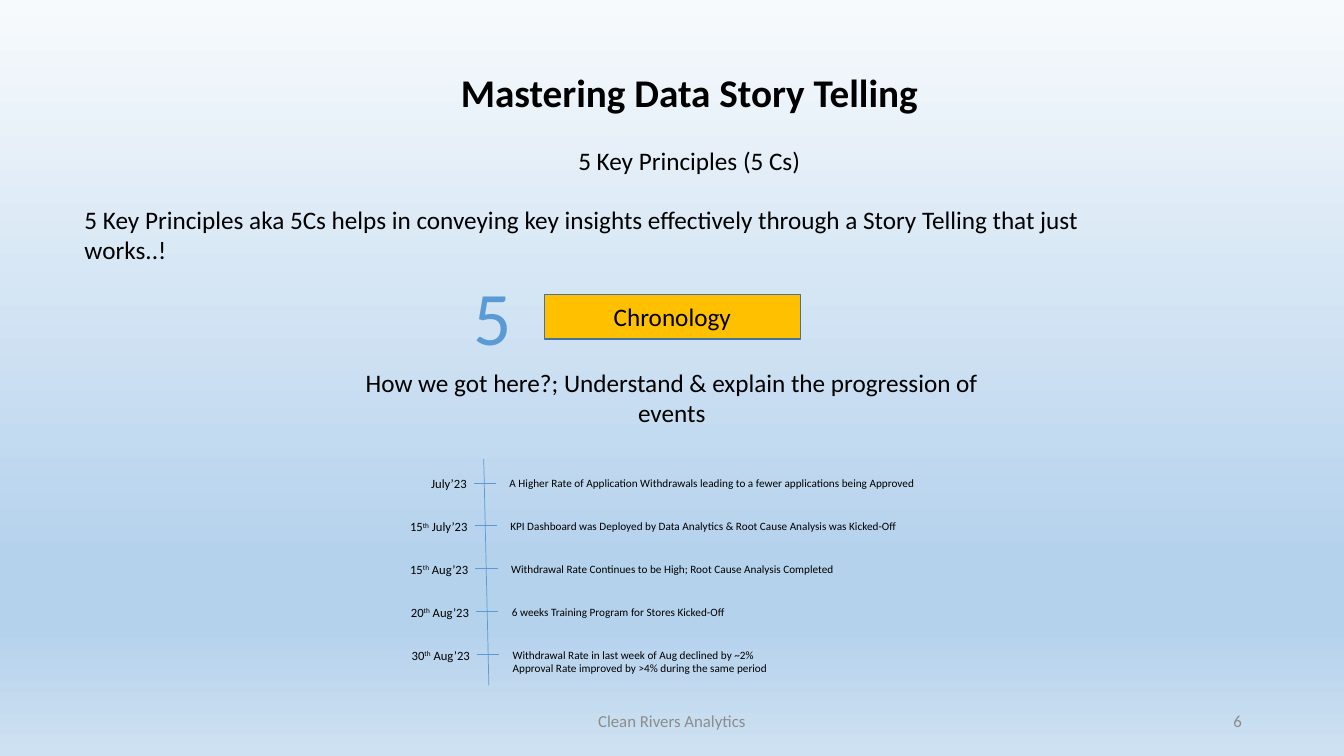
from collections import namedtuple
from dataclasses import dataclass

from lxml import etree
from pptx import Presentation
from pptx.dml.color import RGBColor
from pptx.enum import shapes, text
from pptx.oxml import ns
from pptx.util import Cm, Pt

Box = namedtuple("Box", "left top width height")


@dataclass(frozen=True)
class Theme:
    font: str = "Calibri"
    ink: str = "000000"
    muted: str = "8C8C8C"
    accent: str = "5B9BD5"
    badge: str = "FFC000"
    badge_edge: str = "43739E"
    sky: tuple = ((0, "F7FAFD"), (74, "B5D2EC"), (83, "B5D2EC"), (100, "CEE1F2"))
    title: int = 28
    body: int = 18
    numeral: int = 54
    footer: int = 12
    date: int = 9
    note: int = 8


THEME = Theme()
LEFT, CENTER, RIGHT = text.PP_ALIGN.LEFT, text.PP_ALIGN.CENTER, text.PP_ALIGN.RIGHT
MIDDLE, TOP = text.MSO_ANCHOR.MIDDLE, text.MSO_ANCHOR.TOP

# Date as day, ordinal suffix and month, then what happened
EVENTS = [
    (("", "", "July’23"),
     "A Higher Rate of Application Withdrawals leading to a fewer applications being Approved"),
    (("15", "th", " July’23"),
     "KPI Dashboard was Deployed by Data Analytics & Root Cause Analysis was Kicked-Off"),
    (("15", "th", " Aug’23"),
     "Withdrawal Rate Continues to be High; Root Cause Analysis Completed"),
    (("20", "th", " Aug’23"),
     "6 weeks Training Program for Stores Kicked-Off"),
    (("30", "th", " Aug’23"),
     "Withdrawal Rate in last week of Aug declined by ~2%\n"
     "Approval Rate improved by >4% during the same period"),
]


def place(shape, box):
    shape.left, shape.top, shape.width, shape.height = map(Cm, box)


def style(paragraph, size, color=THEME.ink, align=LEFT, bold=False):
    paragraph.alignment = align
    for run in paragraph.runs:
        run.font.name = THEME.font
        run.font.size = Pt(size)
        run.font.bold = bold
        run.font.color.rgb = RGBColor.from_string(color)


def add_label(slide, box, wording, size, color=THEME.ink, align=LEFT, anchor=TOP):
    label = slide.shapes.add_textbox(*map(Cm, box))
    frame = label.text_frame
    frame.word_wrap = True
    frame.vertical_anchor = anchor
    frame.text = wording
    for paragraph in frame.paragraphs:
        style(paragraph, size, color, align)
    return label


def add_rule(slide, x1, y1, x2, y2):
    rule = slide.shapes.add_connector(
        shapes.MSO_CONNECTOR.STRAIGHT, Cm(x1), Cm(y1), Cm(x2), Cm(y2))
    rule.line.color.rgb = RGBColor.from_string(THEME.accent)
    rule.line.width = Pt(0.5)
    etree.SubElement(rule._element.spPr, ns.qn("a:effectLst"))


def paint_background(slide):
    fill = slide.background.fill
    fill.gradient()
    fill.gradient_angle = 270
    stops = slide._element.find(".//" + ns.qn("a:gsLst"))
    for stop in list(stops):
        stops.remove(stop)
    for percent, color in THEME.sky:
        stop = etree.SubElement(stops, ns.qn("a:gs"), pos=str(percent * 1000))
        etree.SubElement(stop, ns.qn("a:srgbClr"), val=color)


def add_heading(slide, box):
    heading = slide.shapes.title
    place(heading, box)
    frame = heading.text_frame
    frame.word_wrap = True
    frame.auto_size = text.MSO_AUTO_SIZE.NONE
    frame.vertical_anchor = MIDDLE
    frame.text = "Mastering Data Story Telling\n5 Key Principles (5 Cs)"
    for paragraph, size, bold in zip(
            frame.paragraphs, (THEME.title, THEME.body), (True, False)):
        paragraph.line_spacing = 2.0
        paragraph.space_before = Pt(0)
        style(paragraph, size, align=CENTER, bold=bold)


def add_principle(slide, box):
    # Numeral, badge and the question below them
    add_label(slide, Box(box.left + 3.23, box.top, 1.22, 2.57), "5",
              THEME.numeral, THEME.accent, CENTER)
    badge = slide.shapes.add_shape(
        shapes.MSO_SHAPE.RECTANGLE,
        *map(Cm, (box.left + 5.26, box.top + 0.74, 6.45, 1.12)))
    badge.shadow.inherit = False
    badge.fill.solid()
    badge.fill.fore_color.rgb = RGBColor.from_string(THEME.badge)
    badge.line.color.rgb = RGBColor.from_string(THEME.badge_edge)
    badge.line.width = Pt(1)
    badge.text_frame.vertical_anchor = MIDDLE
    badge.text_frame.text = "Chronology"
    style(badge.text_frame.paragraphs[0], THEME.body, align=CENTER)
    add_label(slide, Box(box.left, box.top + 2.44, box.width, 1.8),
              "How we got here?; Understand & explain the progression of events",
              THEME.body, align=CENTER)


def add_date(slide, box, parts):
    label = add_label(slide, box, "", THEME.date)
    paragraph = label.text_frame.paragraphs[0]
    for part, baseline in zip(parts, (0, 30000, 0)):
        if part:
            run = paragraph.add_run()
            run.text = part
            run._r.get_or_add_rPr().set("baseline", str(baseline))
    style(paragraph, THEME.date, align=RIGHT)


def add_timeline(slide, box):
    # The spine leans slightly, and the rows drift along with it
    step, drift = 1.08, 0.02
    spine = box.left + 3.33
    add_rule(slide, spine, box.top, spine + 0.13, box.top + box.height)
    for row, (date, note) in enumerate(EVENTS):
        y = box.top + 0.61 + row * step
        x = box.left + row * drift
        add_rule(slide, x + 3.08, y, x + 3.64, y)
        add_date(slide, Box(x, y - 0.29, 3.15, 0.64), date)
        add_label(slide, Box(x + 3.73, y - 0.28, 16.94, 0.61), note, THEME.note)


def add_footer(slide, box):
    add_label(slide, Box(box.left, box.top, 11.43, box.height),
              "Clean Rivers Analytics", THEME.footer, THEME.muted, CENTER, MIDDLE)
    number_width = 7.62
    add_label(slide, Box(box.left + box.width - number_width, box.top,
                         number_width, box.height),
              "6", THEME.footer, THEME.muted, RIGHT, MIDDLE)


def main():
    deck = Presentation()
    deck.slide_width, deck.slide_height = Cm(33.87), Cm(19.05)
    slide = deck.slides.add_slide(deck.slide_layouts.get_by_name("Title Only"))
    paint_background(slide)
    add_heading(slide, Box(9.93, 0.38, 14.88, 4.19))
    # Introduction
    add_label(slide, Box(1.88, 5.03, 26.29, 1.8),
              "5 Key Principles aka 5Cs helps in conveying key insights "
              "effectively through a Story Telling that just works..!", THEME.body)
    add_principle(slide, Box(8.46, 6.68, 16.94, 4.24))
    add_timeline(slide, Box(8.86, 11.56, 20.67, 5.71))
    add_footer(slide, Box(11.22, 17.65, 20.33, 1.02))
    deck.save("out.pptx")


if __name__ == "__main__":
    main()
